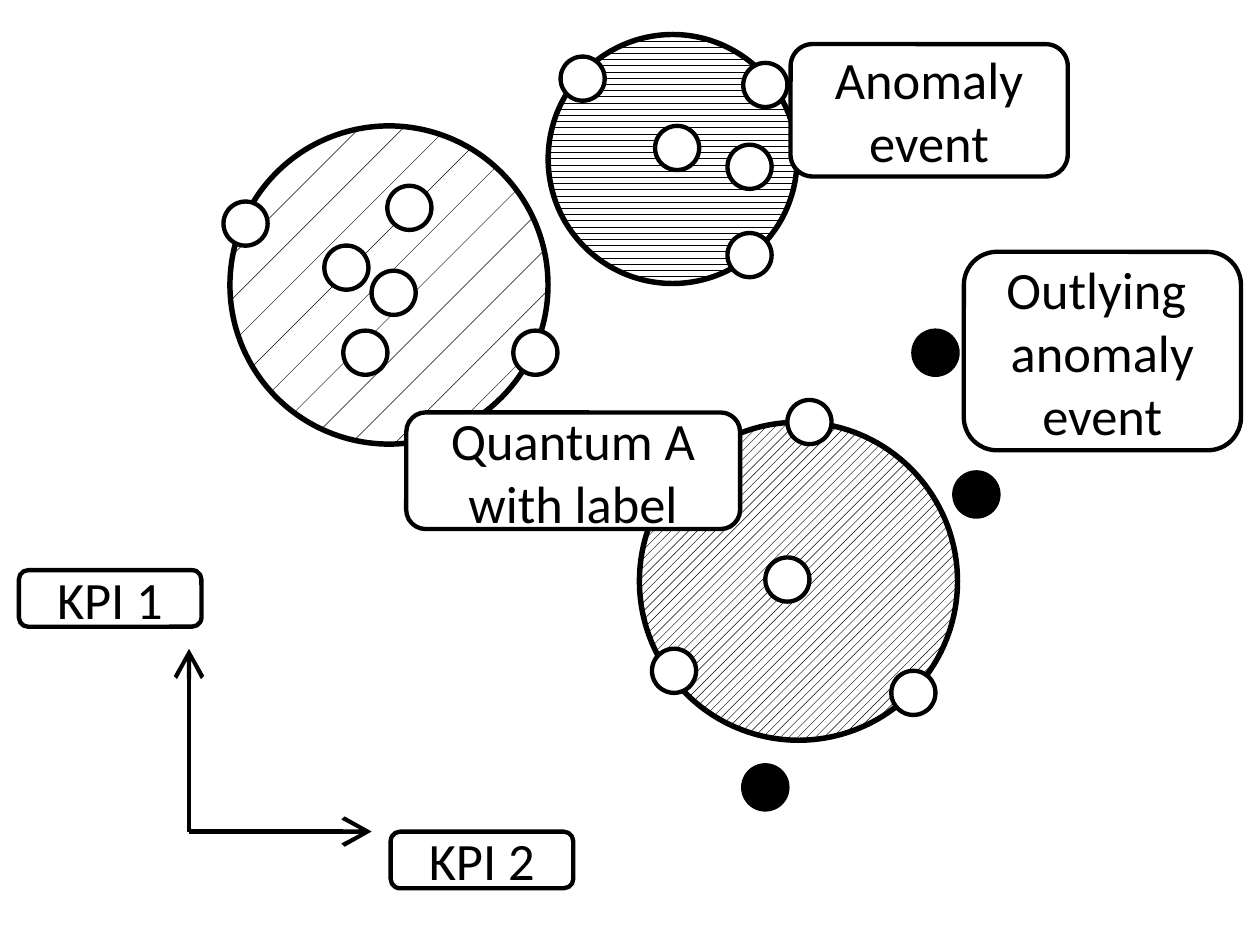
from lxml import etree
from pptx import Presentation
from pptx.dml.color import RGBColor as Rgb
from pptx.enum.dml import MSO_PATTERN as Pat
from pptx.enum.shapes import MSO_CONNECTOR as Conn, MSO_SHAPE as Kind
from pptx.enum.text import MSO_ANCHOR as Anchor, PP_ALIGN as Align
from pptx.oxml.ns import qn
from pptx.util import Inches, Pt

HUES = {"ink": "000000", "paper": "FFFFFF"}
DOT = 0.14


def hue(name):
    return Rgb.from_string(HUES[name])


def shape(slide, kind, box, fill="paper", width=1):
    item = slide.shapes.add_shape(kind, *map(Inches, box))
    item.shadow.inherit = False
    item.fill.solid()
    item.fill.fore_color.rgb = hue(fill)
    item.line.color.rgb = hue("ink")
    item.line.width = Pt(width)
    return item


def label(slide, box, text):
    frame = shape(slide, Kind.ROUNDED_RECTANGLE, box).text_frame
    frame.word_wrap = True
    frame.vertical_anchor = Anchor.MIDDLE
    frame.text = text
    para = frame.paragraphs[0]
    para.alignment = Align.CENTER
    para.font.name = "Calibri"
    para.font.size = Pt(12)
    para.font.color.rgb = hue("ink")


def arrow(slide, start, end):
    line = slide.shapes.add_connector(Conn.STRAIGHT, *map(Inches, start + end))
    line.line.color.rgb = hue("ink")
    line.line.width = Pt(1)
    etree.SubElement(line.line._get_or_add_ln(), qn("a:tailEnd"), type="arrow")
    etree.SubElement(line._element.spPr, qn("a:effectLst"))


def axes(slide, box):
    x, y, w, h = box
    tag_w, tag_h, reach = 0.58, 0.18, 0.58
    left, base = x + 0.54, y + h - tag_h
    label(slide, (x, y, tag_w, tag_h), "KPI 1")
    label(slide, (x + w - tag_w, base, tag_w, tag_h), "KPI 2")
    arrow(slide, (left, base), (left, base - reach))
    arrow(slide, (left, base), (left + reach, base))


def events(slide, box, spots, fill="paper"):
    for dx, dy in spots:
        place = (box[0] + dx, box[1] + dy, DOT, DOT)
        shape(slide, Kind.FLOWCHART_CONNECTOR, place, fill)


def cluster(slide, box, pattern, spots):
    disc = shape(slide, Kind.OVAL, box, width=1.25)
    disc.fill.patterned()
    disc.fill.pattern = pattern
    disc.fill.fore_color.rgb = hue("ink")
    disc.fill.back_color.rgb = hue("paper")
    events(slide, box, spots)


def main():
    deck = Presentation()
    deck.slide_width, deck.slide_height = Inches(4), Inches(3)
    slide = deck.slides.add_slide(deck.slide_layouts[6])

    axes(slide, (0.06, 1.81, 1.76, 1.01))
    cluster(slide, (0.73, 0.4, 1.01, 1.01), Pat.PERCENT_5,
            [(-0.02, 0.24), (0.36, 0.65), (0.5, 0.19),
             (0.9, 0.65), (0.3, 0.38), (0.45, 0.46)])
    cluster(slide, (1.74, 0.11, 0.79, 0.79), Pat.LIGHT_HORIZONTAL,
            [(0.04, 0.07), (0.57, 0.63), (0.62, 0.09),
             (0.34, 0.29), (0.57, 0.35)])
    cluster(slide, (2.03, 1.34, 1.01, 1.01), Pat.LIGHT_UPWARD_DIAGONAL,
            [(0.04, 0.72), (0.47, -0.07), (0.8, 0.79), (0.4, 0.43)])
    events(slide, (2.36, 1.05, 0.81, 1.52),
           [(0.54, 0), (0, 1.38), (0.67, 0.45)], "ink")

    label(slide, (3.06, 0.8, 0.88, 0.63), "Outlying \vanomaly event")
    label(slide, (2.51, 0.14, 0.88, 0.42), "Anomaly event")
    label(slide, (1.29, 1.31, 1.06, 0.37), "Quantum A with label")
    deck.save("out.pptx")


if __name__ == "__main__":
    main()
